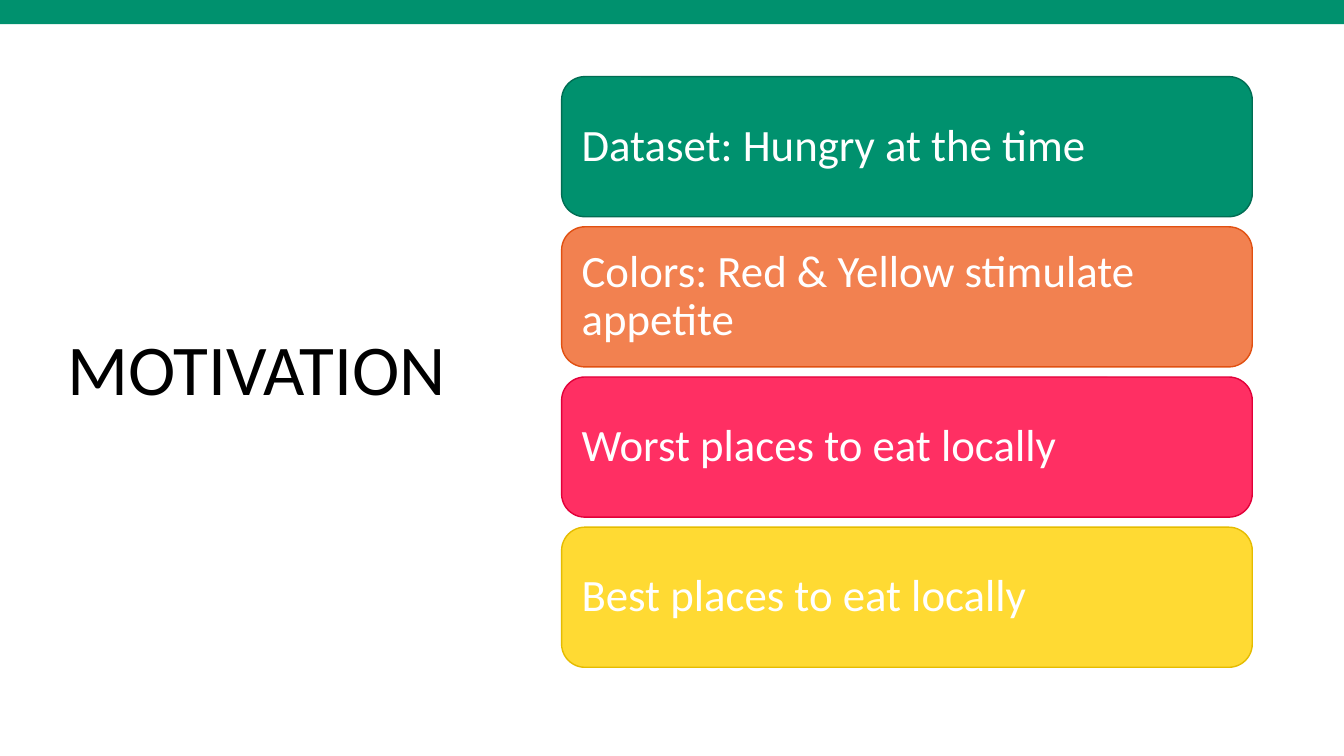
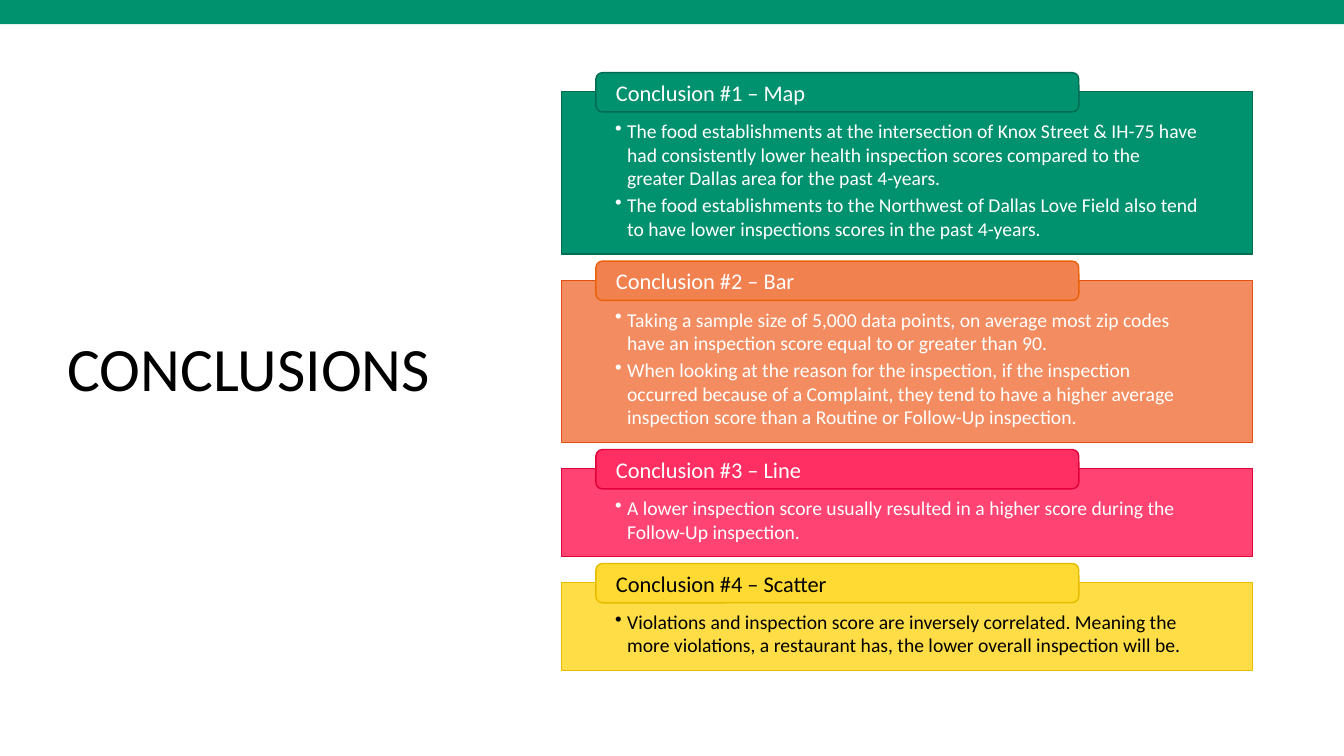
from dataclasses import dataclass

from lxml import etree
from pptx import Presentation
from pptx.dml.color import RGBColor
from pptx.enum.shapes import MSO_SHAPE
from pptx.enum.text import MSO_ANCHOR, MSO_AUTO_SIZE, PP_ALIGN
from pptx.oxml.ns import qn
from pptx.presentation import Presentation as Deck
from pptx.shapes.autoshape import Shape
from pptx.slide import Slide
from pptx.text.text import TextFrame, _Paragraph
from pptx.util import Inches, Pt

RECTANGLE = MSO_SHAPE.RECTANGLE
ROUNDED = MSO_SHAPE.ROUNDED_RECTANGLE
LEFT = PP_ALIGN.LEFT
MIDDLE = MSO_ANCHOR.MIDDLE
TOP = MSO_ANCHOR.TOP
NO_AUTOFIT = MSO_AUTO_SIZE.NONE

FONT = "Calibri"
BLACK = RGBColor(0x00, 0x00, 0x00)
WHITE = RGBColor(0xFF, 0xFF, 0xFF)
GREEN = RGBColor(0x00, 0x91, 0x6E)
GREEN_EDGE = RGBColor(0x00, 0x6D, 0x53)
ORANGE = RGBColor(0xF2, 0x81, 0x50)
ORANGE_EDGE = RGBColor(0xE1, 0x50, 0x11)
ORANGE_TAB_EDGE = RGBColor(0xE9, 0x62, 0x09)
RED = RGBColor(0xFF, 0x2F, 0x63)
RED_EDGE = RGBColor(0xE2, 0x00, 0x39)
YELLOW = RGBColor(0xFF, 0xDA, 0x33)
YELLOW_EDGE = RGBColor(0xE5, 0xBC, 0x00)

SLIDE_WIDTH, SLIDE_HEIGHT = 13.33, 7.5
TITLE_ONLY = 5
CARD_LEFT, CARD_WIDTH = 5.57, 6.85
MOTIVE_TOP, MOTIVE_HEIGHT, MOTIVE_STEP = 0.76, 1.39, 1.49
PANEL_TOP, PANEL_GAP = 0.91, 0.26
TAB_LEFT, TAB_WIDTH, TAB_HEIGHT, TAB_RISE = 5.91, 4.79, 0.39, 0.19


@dataclass(frozen=True)
class Box:
    left: float
    top: float
    width: float
    height: float


@dataclass(frozen=True)
class Motive:
    text: str
    fill: RGBColor
    edge: RGBColor


@dataclass(frozen=True)
class Conclusion:
    heading: str
    points: tuple[str, ...]
    height: float
    fill: RGBColor
    edge: RGBColor
    tab_edge: RGBColor
    ink: RGBColor = WHITE
    opacity: int = 90


MOTIVES = (
    Motive("Dataset: Hungry at the time", GREEN, GREEN_EDGE),
    Motive("Colors: Red & Yellow stimulate appetite", ORANGE, ORANGE_EDGE),
    Motive("Worst places to eat locally", RED, RED_EDGE),
    Motive("Best places to eat locally", YELLOW, YELLOW_EDGE),
)

CONCLUSIONS = (
    Conclusion(
        "Conclusion #1 – Map",
        (
            "The food establishments at the intersection of Knox Street & IH-75 "
            "have had consistently lower health inspection scores compared to "
            "the greater Dallas area for the past 4-years.",
            "The food establishments to the Northwest of Dallas Love Field also "
            "tend to have lower inspections scores in the past 4-years.",
        ),
        1.61, GREEN, GREEN_EDGE, GREEN_EDGE, opacity=100,
    ),
    Conclusion(
        "Conclusion #2 – Bar",
        (
            "Taking a sample size of 5,000 data points, on average most zip codes "
            "have an inspection score equal to or greater than 90.",
            "When looking at the reason for the inspection, if the inspection "
            "occurred because of a Complaint, they tend to have a higher average "
            "inspection score than a Routine or Follow-Up inspection.",
        ),
        1.61, ORANGE, ORANGE_EDGE, ORANGE_TAB_EDGE,
    ),
    Conclusion(
        "Conclusion #3 – Line",
        (
            "A lower inspection score usually resulted in a higher score during "
            "the Follow-Up inspection.",
        ),
        0.87, RED, RED_EDGE, RED_EDGE,
    ),
    Conclusion(
        "Conclusion #4 – Scatter",
        (
            "Violations and inspection score are inversely correlated. Meaning "
            "the more violations, a restaurant has, the lower overall inspection "
            "will be.",
        ),
        0.87, YELLOW, YELLOW_EDGE, YELLOW_EDGE, ink=BLACK,
    ),
)


def place(shape: Shape, box: Box) -> None:
    shape.left, shape.top = Inches(box.left), Inches(box.top)
    shape.width, shape.height = Inches(box.width), Inches(box.height)


def add_block(slide: Slide, kind: MSO_SHAPE, box: Box, fill: RGBColor,
              edge: RGBColor | None = None) -> Shape:
    block = slide.shapes.add_shape(kind, 0, 0, 0, 0)
    place(block, box)
    block.shadow.inherit = False
    block.fill.solid()
    block.fill.fore_color.rgb = fill
    if edge is None:
        block.line.fill.background()
    else:
        block.line.color.rgb = edge
        block.line.width = Pt(1)
    return block


def set_opacity(shape: Shape, percent: int) -> None:
    color = shape.fill._xPr.find(qn("a:solidFill")).find(qn("a:srgbClr"))
    etree.SubElement(color, qn("a:alpha")).set("val", str(percent * 1000))


def set_frame(frame: TextFrame, side: float, top: float, bottom: float,
              anchor: MSO_ANCHOR) -> None:
    frame.word_wrap = True
    frame.auto_size = NO_AUTOFIT
    frame.vertical_anchor = anchor
    frame.margin_left = frame.margin_right = Inches(side)
    frame.margin_top, frame.margin_bottom = Inches(top), Inches(bottom)


def format_para(para: _Paragraph, size: float, ink: RGBColor,
                line_spacing: float = 1.0) -> None:
    para.alignment = LEFT
    para.line_spacing = line_spacing
    for span in para.runs:
        span.font.name = FONT
        span.font.size = Pt(size)
        span.font.color.rgb = ink


def add_bullet(para: _Paragraph) -> None:
    para.level = 1
    para.space_after = Pt(2.5)
    properties = para._p.get_or_add_pPr()
    properties.set("marL", str(Inches(0.12)))
    properties.set("indent", str(Inches(-0.12)))
    etree.SubElement(properties, qn("a:buChar")).set("char", "•")


def add_page(deck: Deck, title: str, size: float) -> Slide:
    page = deck.slides.add_slide(deck.slide_layouts[TITLE_ONLY])
    heading = page.shapes.title
    place(heading, Box(0.57, 0.68, 4.16, 6.02))
    heading.text_frame.text = title
    set_frame(heading.text_frame, 0.1, 0.05, 0.05, MIDDLE)
    format_para(heading.text_frame.paragraphs[0], size, BLACK, 0.9)
    add_block(page, RECTANGLE, Box(0, 0, SLIDE_WIDTH, 0.24), GREEN)
    return page


def draw_motive(page: Slide, motive: Motive, top: float) -> None:
    card = add_block(page, ROUNDED, Box(CARD_LEFT, top, CARD_WIDTH, MOTIVE_HEIGHT),
                     motive.fill, motive.edge)
    frame = card.text_frame
    frame.text = motive.text
    set_frame(frame, 0.13, 0.13, 0.13, MIDDLE)
    format_para(frame.paragraphs[0], 32, WHITE, 0.9)


def draw_conclusion(page: Slide, item: Conclusion, top: float) -> None:
    panel = add_block(page, RECTANGLE, Box(CARD_LEFT, top, CARD_WIDTH, item.height),
                      item.fill, item.edge)
    if item.opacity < 100:
        set_opacity(panel, item.opacity)
    frame = panel.text_frame
    frame.text = "\n".join(item.points)
    set_frame(frame, 0.53, 0.27, 0.11, TOP)
    for para in frame.paragraphs:
        format_para(para, 14, item.ink)
        add_bullet(para)

    tab = add_block(page, ROUNDED, Box(TAB_LEFT, top - TAB_RISE, TAB_WIDTH, TAB_HEIGHT),
                    item.fill, item.tab_edge)
    tab.text_frame.text = item.heading
    set_frame(tab.text_frame, 0.18, 0, 0, MIDDLE)
    format_para(tab.text_frame.paragraphs[0], 16, item.ink)


def main() -> None:
    deck = Presentation()
    deck.slide_width, deck.slide_height = Inches(SLIDE_WIDTH), Inches(SLIDE_HEIGHT)

    motivation = add_page(deck, "MOTIVATION", 51)
    for index, motive in enumerate(MOTIVES):
        draw_motive(motivation, motive, MOTIVE_TOP + index * MOTIVE_STEP)

    conclusions = add_page(deck, "CONCLUSIONS", 44)
    top = PANEL_TOP
    for item in CONCLUSIONS:
        draw_conclusion(conclusions, item, top)
        top += item.height + PANEL_GAP

    deck.save("out.pptx")


main()
